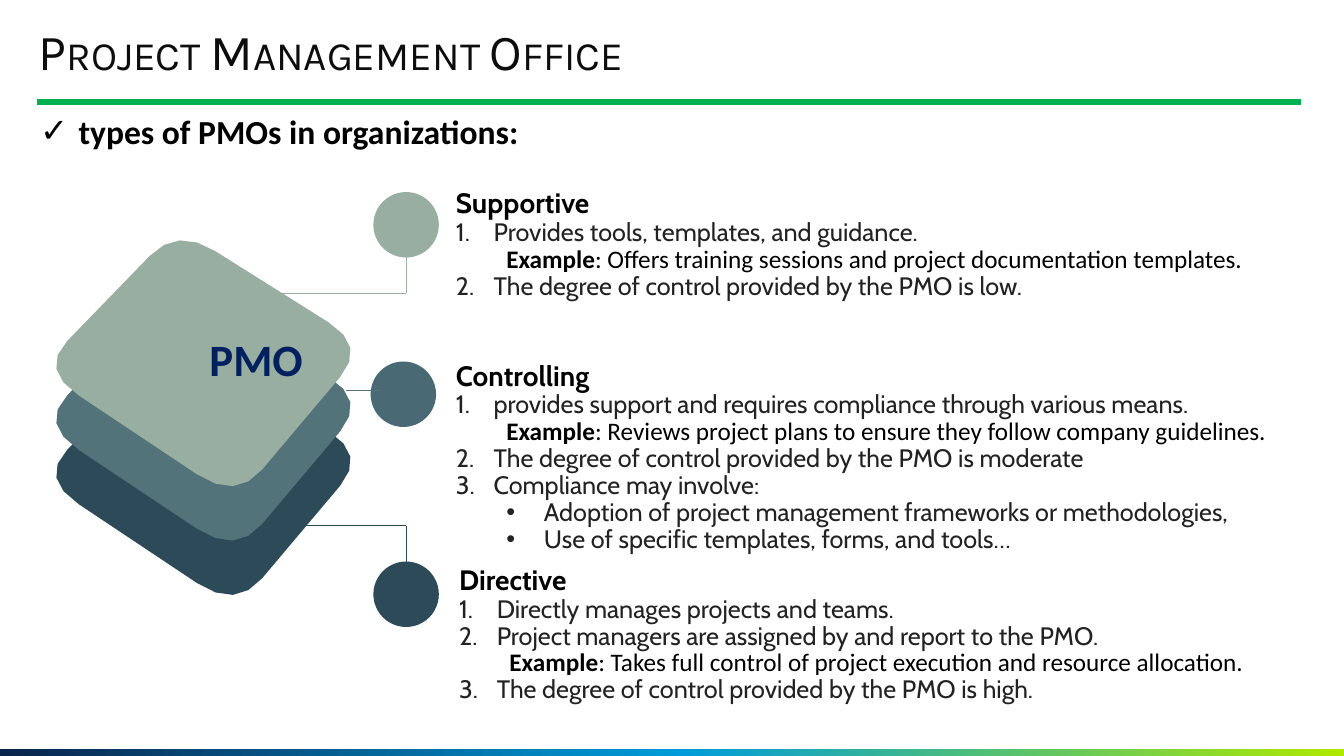
from copy import deepcopy
from dataclasses import dataclass

from lxml import etree
from pptx import Presentation
from pptx.dml.color import RGBColor
from pptx.enum.shapes import MSO_CONNECTOR, MSO_SHAPE
from pptx.enum.text import MSO_ANCHOR, MSO_AUTO_SIZE, PP_ALIGN
from pptx.oxml.ns import qn
from pptx.util import Cm, Pt

STRAIGHT = MSO_CONNECTOR.STRAIGHT
OVAL, RECT = MSO_SHAPE.OVAL, MSO_SHAPE.RECTANGLE
LEFT, CENTER, JUSTIFY = PP_ALIGN.LEFT, PP_ALIGN.CENTER, PP_ALIGN.JUSTIFY

TITLE = "Project Management Office"
SUBTITLE = "types of PMOs in organizations:"
STACK_LABEL = "PMO"

# Each PMO type: heading, text box (cm), alignment, then (kind, text) lines
PMO_TYPES = [
    ("Supportive", (10.98, 4.66, 20.96, 3.15), JUSTIFY, [
        ("number", "Provides tools, templates, and guidance."),
        ("example", ": Offers training sessions and project documentation templates."),
        ("number", "The degree of control provided by the PMO is low."),
    ]),
    ("Controlling", (10.98, 9.0, 21.74, 5.21), LEFT, [
        ("number", "provides support and requires compliance through various means."),
        ("example", ": Reviews project plans to ensure they follow company guidelines."),
        ("number", "The degree of control provided by the PMO is moderate"),
        ("number", "Compliance may involve:"),
        ("bullet", "Adoption of project management frameworks or methodologies,"),
        ("bullet", "Use of specific templates, forms, and tools…"),
    ]),
    ("Directive", (11.06, 14.15, 21.67, 3.84), LEFT, [
        ("number", "Directly manages projects and teams."),
        ("number", "Project managers are assigned by and report to the PMO."),
        ("example", ": Takes full control of project execution and resource allocation."),
        ("number", "The degree of control provided by the PMO is high."),
    ]),
]

# Each marker: circle corner, circle colour, leader points, leader colour
MARKERS = [
    ((9.41, 4.84), "97AEA0", [(10.24, 6.48), (10.24, 7.39), (6.83, 7.39)], "97AEA0"),
    ((9.34, 9.11), "496A75", [(9.58, 9.83), (8.71, 9.83)], "53737B"),
    ((9.41, 14.15), "2C4A58", [(10.24, 14.15), (10.24, 13.25), (7.04, 13.25)], "2C4A58"),
]
MARKER_SIZE = 1.65

LAYER_COLORS = ["97AEA0", "53737B", "2C4A58"]  # top to bottom
LAYER_CORNERS = [(4.47, 5.73), (9.23, 8.72), (5.95, 12.61), (1.0, 9.31)]
LAYER_STEP = 1.37
CORNER_SHARE = 0.2
CURVE_STEPS = 4

# Line kind: level, left margin (cm), first-line indent (cm), bullet tag and attributes
LINE_STYLES = {
    "number": (0, 0.95, -0.95, ("a:buAutoNum", {"type": "arabicPeriod"})),
    "example": (1, 1.27, 0, None),
    "bullet": (1, 2.22, -0.95, ("a:buChar", {"char": "•"})),
}


@dataclass(frozen=True)
class Theme:
    title_font: str = "Karla"
    body_font: str = "Cabin"
    accent_font: str = "Calibri"
    bullet_font: str = "Arial"
    title_color: str = "0D0D0D"
    black: str = "000000"
    body_color: str = "222222"
    label_color: str = "002060"
    rule_color: str = "00B050"
    bar_colors: tuple = ((0, "09244C"), (0.51, "009CDA"), (1, "B0E900"))
    title_size: int = 36
    label_size: int = 32
    subtitle_size: int = 24
    heading_size: int = 20
    body_size: int = 18
    spacing: float = 0.89


THEME = Theme()


def cm(values):
    return [Cm(value) for value in values]


def add_run(paragraph, text, font, size, color, bold=False, small_caps=False):
    run = paragraph.add_run()
    run.text = text
    run.font.name, run.font.size, run.font.bold = font, Pt(size), bold
    run.font.color.rgb = RGBColor.from_string(color)
    if small_caps:
        run.font._element.set("cap", "small")


def indent(paragraph, margin, first_line, bullet=None):
    properties = paragraph._p.get_or_add_pPr()
    properties.set("marL", str(Cm(margin)))
    properties.set("indent", str(Cm(first_line)))
    if bullet:
        tag, attributes = bullet
        if tag == "a:buChar":
            etree.SubElement(properties, qn("a:buFont"), {"typeface": THEME.bullet_font})
        etree.SubElement(properties, qn(tag), attributes)


def add_text_frame(slide, box, insets=(0.25, 0.13, 0.25, 0.13)):
    frame = slide.shapes.add_textbox(*cm(box)).text_frame
    frame.word_wrap = True
    (frame.margin_left, frame.margin_top,
     frame.margin_right, frame.margin_bottom) = cm(insets)
    return frame


def paint(shape, color):
    shape.shadow.inherit = False
    shape.fill.solid()
    shape.fill.fore_color.rgb = RGBColor.from_string(color)
    shape.line.fill.background()


def add_line(slide, start, end, color, width):
    line = slide.shapes.add_connector(STRAIGHT, *cm(start + end))
    line.line.color.rgb = RGBColor.from_string(color)
    line.line.width = Pt(width)
    etree.SubElement(line._element.spPr, qn("a:effectLst"))


def between(start, end, share):
    return tuple(a + (b - a) * share for a, b in zip(start, end))


def rounded_outline(corners):
    """Replace each corner by points along a quadratic curve."""
    points = []
    for i, corner in enumerate(corners):
        start = between(corner, corners[i - 1], CORNER_SHARE)
        end = between(corner, corners[(i + 1) % len(corners)], CORNER_SHARE)
        for step in range(CURVE_STEPS + 1):
            t = step / CURVE_STEPS
            points.append(between(between(start, corner, t), between(corner, end, t), t))
    return points


def add_frame(slide):
    bar = slide.shapes.add_shape(RECT, *cm((0, 18.87, 33.87, 0.18)))
    bar.shadow.inherit = False
    bar.line.fill.background()
    bar.fill.gradient()
    bar.fill.gradient_angle = 0
    stop_list = bar._element.spPr.find(qn("a:gradFill")).find(qn("a:gsLst"))
    stop_list.insert(1, deepcopy(stop_list[0]))
    for stop, (position, color) in zip(bar.fill.gradient_stops, THEME.bar_colors):
        stop.position = position
        stop.color.rgb = RGBColor.from_string(color)
    add_line(slide, (0.94, 2.57), (32.79, 2.57), THEME.rule_color, 4.5)


def add_headings(slide):
    title = slide.shapes.title
    title.left, title.top, title.width, title.height = cm((0.97, 0.67, 28.42, 1.4))
    frame = title.text_frame
    frame.margin_left = frame.margin_top = frame.margin_right = frame.margin_bottom = 0
    frame.vertical_anchor = MSO_ANCHOR.MIDDLE
    frame.auto_size = MSO_AUTO_SIZE.NONE
    heading = frame.paragraphs[0]
    heading.alignment, heading.line_spacing = LEFT, 0.9
    add_run(heading, TITLE, THEME.title_font, THEME.title_size, THEME.title_color,
            small_caps=True)

    subtitle = add_text_frame(slide, (0, 2.67, 32.72, 2.31)).paragraphs[0]
    subtitle.alignment = JUSTIFY
    indent(subtitle, 1.73, -0.97, ("a:buChar", {"char": "✓"}))
    add_run(subtitle, SUBTITLE, THEME.accent_font, THEME.subtitle_size, THEME.black, True)


def add_stack(slide):
    for depth, color in reversed(list(enumerate(LAYER_COLORS))):
        corners = [(x, y + depth * LAYER_STEP) for x, y in LAYER_CORNERS]
        outline = [cm(point) for point in rounded_outline(corners)]
        builder = slide.shapes.build_freeform(*outline[0])
        builder.add_line_segments(outline[1:], close=True)
        paint(builder.convert_to_shape(), color)
    label = add_text_frame(slide, (3.07, 8.23, 4.42, 1.63)).paragraphs[0]
    label.alignment = CENTER
    add_run(label, STACK_LABEL, THEME.accent_font, THEME.label_size, THEME.label_color,
            True, small_caps=True)


def add_marker(slide, corner, color, leader, leader_color):
    circle = slide.shapes.add_shape(OVAL, *cm(corner + (MARKER_SIZE, MARKER_SIZE)))
    paint(circle, color)
    for start, end in zip(leader, leader[1:]):
        add_line(slide, start, end, leader_color, 0.5)


def add_pmo_type(slide, name, box, alignment, lines):
    frame = add_text_frame(slide, box, (0.51, 0.13, 0.51, 0.2))
    heading = frame.paragraphs[0]
    heading.alignment, heading.line_spacing = alignment, THEME.spacing
    add_run(heading, name, THEME.body_font, THEME.heading_size, THEME.black, True)
    for kind, text in lines:
        level, margin, first_line, bullet = LINE_STYLES[kind]
        line = frame.add_paragraph()
        line.alignment, line.line_spacing, line.level = alignment, THEME.spacing, level
        indent(line, margin, first_line, bullet)
        font, color = THEME.body_font, THEME.body_color
        if kind == "example":
            font, color = THEME.accent_font, THEME.black
            add_run(line, "Example", font, THEME.body_size, color, True)
        add_run(line, text, font, THEME.body_size, color)


def main():
    deck = Presentation()
    deck.slide_width, deck.slide_height = cm((33.87, 19.05))
    slide = deck.slides.add_slide(deck.slide_layouts[5])
    add_frame(slide)
    add_headings(slide)
    add_stack(slide)
    for marker in MARKERS:
        add_marker(slide, *marker)
    for pmo_type in PMO_TYPES:
        add_pmo_type(slide, *pmo_type)
    deck.save("out.pptx")


if __name__ == "__main__":
    main()
